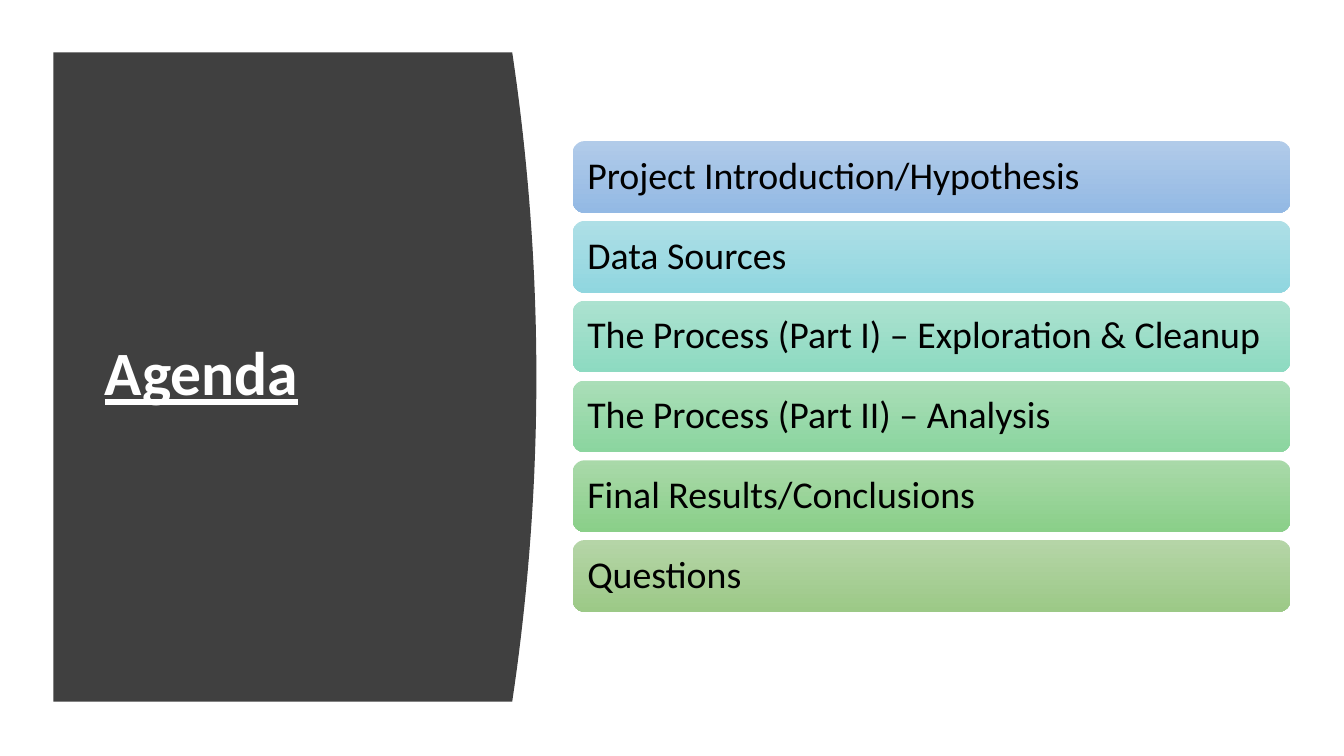
import pptx
import pptx.util
import pptx.dml.color
import pptx.enum.shapes
import pptx.enum.text
from dataclasses import dataclass

Inch = pptx.util.Inches
Pt = pptx.util.Pt
Rgb = pptx.dml.color.RGBColor.from_string
Text = pptx.enum.text


@dataclass(frozen=True)
class Theme:
    font: str = "Calibri"
    panel: str = "404040"
    light: str = "FFFFFF"
    dark: str = "000000"
    head: int = 44
    item: int = 27


THEME = Theme()

# Each topic with the top and bottom colour of its bar
TOPICS = [
    ("Project Introduction/Hypothesis", "B1CBE9", "93B9E4"),
    ("Data Sources", "AEDFE6", "90D6DF"),
    ("The Process (Part I) – Exploration & Cleanup", "ACE2D0", "8DDAC1"),
    ("The Process (Part II) – Analysis", "AADEB8", "8BD59F"),
    ("Final Results/Conclusions", "A9D9A9", "8ACF89"),
    ("Questions", "B5D5A7", "9CC987"),
]


def apply(target, values):
    for name, value in values.items():
        setattr(target, name, value)


def write(shape, words, size, color, inset, **style):
    """Fill a shape with one left-aligned, vertically centred line."""
    frame = shape.text_frame
    frame.text = words
    apply(frame, dict(
        word_wrap=True, auto_size=Text.MSO_AUTO_SIZE.NONE,
        vertical_anchor=Text.MSO_ANCHOR.MIDDLE,
        margin_left=Inch(inset), margin_right=Inch(inset),
        margin_top=Inch(0.05), margin_bottom=Inch(0.05)))
    line = frame.paragraphs[0]
    apply(line, dict(alignment=Text.PP_ALIGN.LEFT, line_spacing=0.9))
    font = line.runs[0].font
    apply(font, dict(name=THEME.font, size=Pt(size), **style))
    font.color.rgb = Rgb(color)


def panel(slide, left, top, width, height):
    """Dark panel whose right edge bulges along a parabola, with the title."""
    bulge, steps = 0.05 * width, 40
    edge = []
    for step in range(steps + 1):
        part = step / steps
        dent = bulge * (2 * part - 1) ** 2
        edge.append((Inch(left + width - dent), Inch(top + part * height)))
    path = slide.shapes.build_freeform(Inch(left), Inch(top), scale=1.0)
    path.add_line_segments(edge + [(Inch(left), Inch(top + height))], close=True)
    shape = path.convert_to_shape()
    shape.shadow.inherit = False
    shape.fill.solid()
    shape.fill.fore_color.rgb = Rgb(THEME.panel)
    shape.line.fill.background()

    # Title, moved in front of the panel
    title = slide.shapes.title
    shape.element.addnext(title.element)
    apply(title, dict(
        left=Inch(left + 0.41), top=Inch(top + 0.59),
        width=Inch(0.78 * width), height=Inch(height - 1.2)))
    write(title, "Agenda", THEME.head, THEME.light, 0.1,
          bold=True, underline=True)


def agenda(slide, left, top, width, height):
    """Stack of equal bars, one for each topic."""
    gap = 0.08
    pitch = (height + gap) / len(TOPICS)
    for row, (words, upper, lower) in enumerate(TOPICS):
        bar = slide.shapes.add_shape(
            pptx.enum.shapes.MSO_SHAPE.ROUNDED_RECTANGLE,
            Inch(left), Inch(top + row * pitch),
            Inch(width), Inch(pitch - gap))
        bar.shadow.inherit = False
        bar.line.fill.background()
        bar.fill.gradient()
        bar.fill.gradient_angle = 270
        for stop, color, place in zip(
                bar.fill.gradient_stops, (upper, lower), (0, 1)):
            stop.color.rgb = Rgb(color)
            stop.position = place
        write(bar, words, THEME.item, THEME.dark, 0.11)


def main():
    deck = pptx.Presentation()
    apply(deck, dict(slide_width=Inch(13.33), slide_height=Inch(7.5)))
    slide = deck.slides.add_slide(deck.slide_layouts[5])
    panel(slide, 0.53, 0.52, 4.79, 6.44)
    agenda(slide, 5.68, 1.4, 7.12, 4.67)
    deck.save("out.pptx")


if __name__ == "__main__":
    main()
